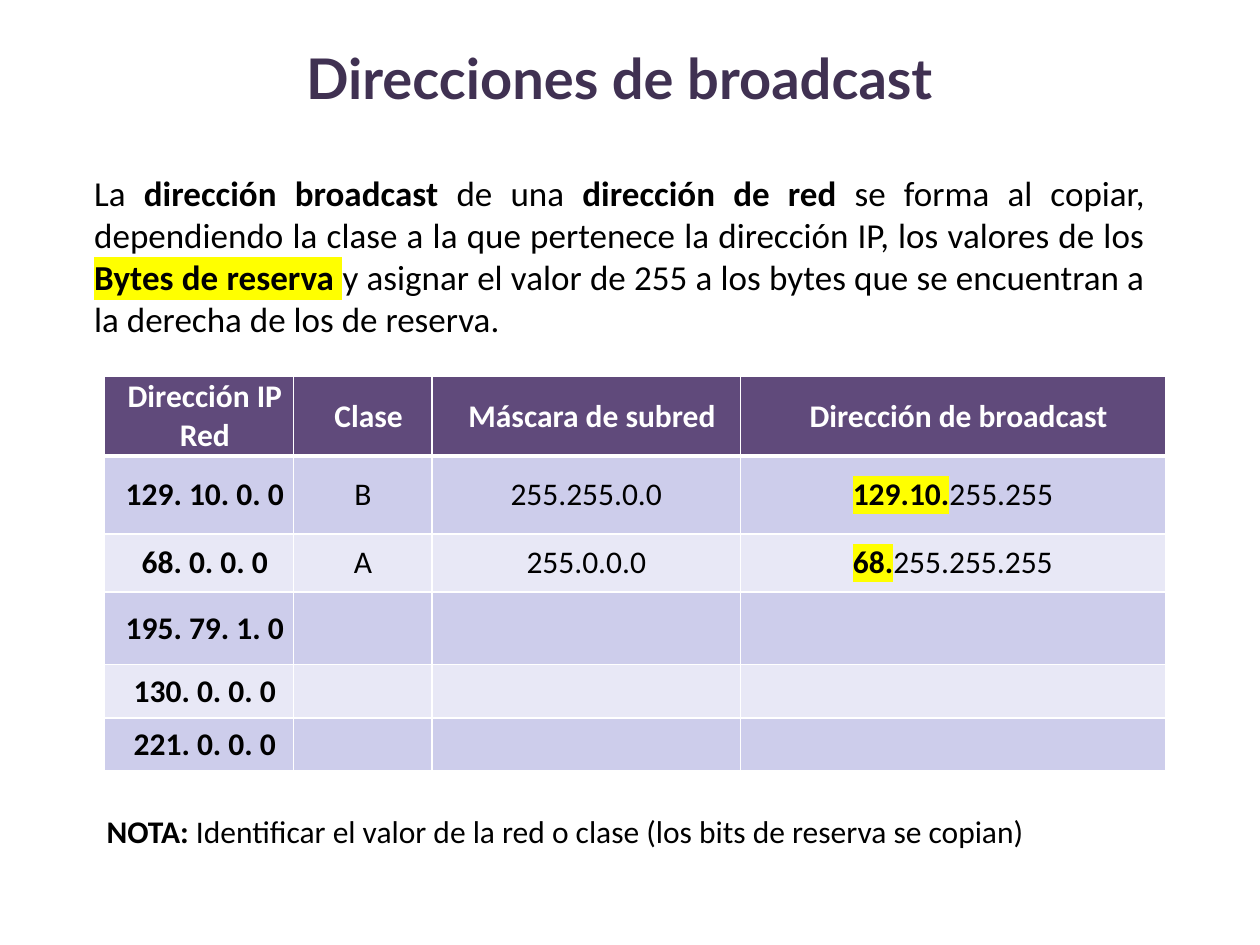
from lxml import etree
from pptx import Presentation
from pptx.dml.color import RGBColor
from pptx.enum.text import MSO_ANCHOR, MSO_AUTO_SIZE, PP_ALIGN
from pptx.oxml.ns import qn
from pptx.util import Cm, Pt

CENTER, JUSTIFY = PP_ALIGN.CENTER, PP_ALIGN.JUSTIFY
MIDDLE, TOP = MSO_ANCHOR.MIDDLE, MSO_ANCHOR.TOP
GROW = MSO_AUTO_SIZE.SHAPE_TO_FIT_TEXT
TITLE_ONLY = 5


def color(value):
    return RGBColor.from_string(value)


def add_text(paragraph, text, font="Calibri", size=18, ink="000000", bold=False, mark=None):
    run = paragraph.add_run()
    run.text = text
    run.font.name = font
    run.font.size = Pt(size)
    run.font.bold = bold
    run.font.color.rgb = color(ink)
    if mark:
        highlight = etree.Element(qn("a:highlight"))
        etree.SubElement(highlight, qn("a:srgbClr"), val=mark)
        run.font._element.find(qn("a:latin")).addprevious(highlight)


class SlideBuilder:
    header_fill = "604A7B"
    bands = ("CDCDEB", "E8E8F6")
    title_ink = "403152"
    white = "FFFFFF"
    yellow = "FFFF00"

    def __init__(self, slide):
        self.slide = slide

    def set_frame(self, frame, insets, anchor):
        frame.word_wrap = True
        frame.auto_size = GROW
        frame.vertical_anchor = anchor
        (frame.margin_left, frame.margin_top,
         frame.margin_right, frame.margin_bottom) = map(Cm, insets)

    def title(self, text, box):
        heading = self.slide.shapes.title
        heading.left, heading.top, heading.width, heading.height = map(Cm, box)
        self.set_frame(heading.text_frame, (0, 0.53, 0, 0), MIDDLE)
        paragraph = heading.text_frame.paragraphs[0]
        paragraph.alignment = CENTER
        add_text(paragraph, text, font="Lato", size=32, ink=self.title_ink, bold=True)

    def paragraph(self, parts, box, size, insets):
        frame = self.slide.shapes.add_textbox(*map(Cm, box)).text_frame
        self.set_frame(frame, insets, TOP)
        paragraph = frame.paragraphs[0]
        paragraph.alignment = JUSTIFY
        for text, style in parts:
            add_text(paragraph, text, size=size, **style)

    def borders(self, cell, top, bottom):
        properties = cell._tc.get_or_add_tcPr()
        sides = (("L", 1), ("R", 1), ("T", top), ("B", bottom))
        for position, (side, points) in enumerate(sides):
            line = etree.Element(qn(f"a:ln{side}"), w=str(Pt(points)))
            fill = etree.SubElement(line, qn("a:solidFill"))
            etree.SubElement(fill, qn("a:srgbClr"), val=self.white)
            properties.insert(position, line)

    def cell(self, cell, parts, fill, indent, top, bottom):
        cell.fill.solid()
        cell.fill.fore_color.rgb = color(fill)
        cell.vertical_anchor = MIDDLE
        cell.margin_left = cell.margin_right = cell.margin_top = cell.margin_bottom = 0
        self.borders(cell, top, bottom)
        paragraph = cell.text_frame.paragraphs[0]
        paragraph.alignment = CENTER
        if indent:
            paragraph._p.get_or_add_pPr().set("marL", str(Cm(0.23)))
        for text, style in parts:
            add_text(paragraph, text, **style)

    def table(self, rows, left, top, widths, heights):
        grid = self.slide.shapes.add_table(
            len(rows), len(widths), Cm(left), Cm(top), Cm(sum(widths)), Cm(sum(heights))
        ).table
        for column, width in zip(grid.columns, widths):
            column.width = Cm(width)
        for r, (row, height) in enumerate(zip(rows, heights)):
            grid.rows[r].height = Cm(height)
            fill = self.bands[(r - 1) % 2] if r else self.header_fill
            for c, parts in enumerate(row):
                self.cell(grid.cell(r, c), parts, fill, indent=r == 0 or c == 0,
                          top=3 if r == 1 else 1, bottom=3 if r == 0 else 1)


def main():
    deck = Presentation()
    deck.slide_width, deck.slide_height = Cm(25.4), Cm(19.05)
    page = SlideBuilder(deck.slides.add_slide(deck.slide_layouts[TITLE_ONLY]))

    plain = {}
    strong = {"bold": True}
    marked = {"bold": True, "mark": page.yellow}
    header = {"bold": True, "ink": page.white}

    page.title("Direcciones de broadcast", (1.9, 0.33, 21.18, 1.9))

    definition = [
        ("La ", plain),
        ("dirección broadcast ", strong),
        ("de una ", plain),
        ("dirección de red ", strong),
        ("se forma al copiar, dependiendo la clase a la que pertenece "
         "la dirección IP, los valores de los ", plain),
        ("Bytes de reserva ", marked),
        ("y asignar el valor de 255 a los bytes que se encuentran "
         "a la derecha de los de reserva.", plain),
    ]
    page.paragraph(definition, (1.9, 3.45, 21.18, 3.43), 20, (0, 0, 0, 0))

    headings = ("Dirección IP Red", "Clase", "Máscara de subred", "Dirección de broadcast")
    networks = [
        ("129. 10. 0. 0", "B", "255.255.0.0", "129.10.", "255.255"),
        ("68. 0. 0. 0", "A", "255.0.0.0", "68.", "255.255.255"),
    ]
    exercises = ("195. 79. 1. 0", "130. 0. 0. 0", "221. 0. 0. 0")

    rows = [[[(heading, header)] for heading in headings]]
    for network, kind, mask, reserved, host in networks:
        rows.append([[(network, strong)], [(kind, plain)], [(mask, plain)],
                     [(reserved, marked), (host, plain)]])
    for network in exercises:
        rows.append([[(network, strong)], [], [], []])
    page.table(rows, 2.11, 7.59, (3.81, 2.79, 6.22, 8.56),
               (1.6, 1.57, 1.17, 1.47, 1.07, 1.07))

    note = [
        ("NOTA: ", strong),
        ("Identificar el valor de la red o clase (los bits de reserva se copian)", plain),
    ]
    page.paragraph(note, (1.9, 16.23, 21.18, 1.02), 18, (0.25, 0.13, 0.25, 0.13))

    deck.save("out.pptx")


if __name__ == "__main__":
    main()
